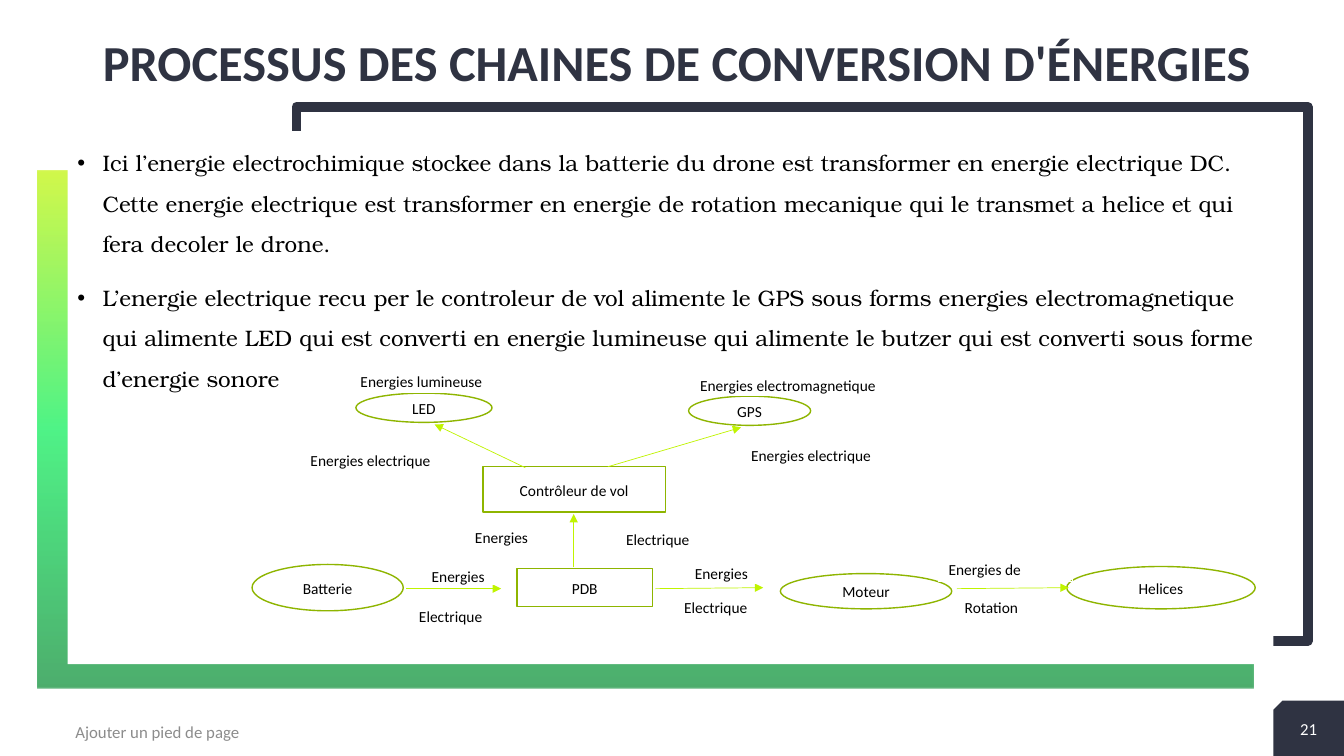
import pptx
import pptx.util
import pptx.dml.color
import pptx.enum.shapes
import pptx.enum.text
import pptx.oxml
import pptx.oxml.ns

Inches = pptx.util.Inches
Pt = pptx.util.Pt
SHAPE = pptx.enum.shapes.MSO_SHAPE
ALIGN = pptx.enum.text.PP_ALIGN
ANCHOR = pptx.enum.text.MSO_ANCHOR

DARK, LIME, OLIVE, WHITE, BLACK, GREY = (
    "2F3342", "C0F400", "8EB500", "FFFFFF", "000000", "8C8C8C")


def rgb(value):
    return pptx.dml.color.RGBColor.from_string(value)


def add_xml(parent, tag, **attrs):
    el = pptx.oxml.parse_xml(f"<a:{tag} {pptx.oxml.ns.nsdecls('a')}/>")
    for name, value in attrs.items():
        el.set(name, str(value))
    parent.append(el)
    return el


def write(sp, *texts, size=11, color=BLACK, font="Calibri", bold=False,
          align=ALIGN.CENTER, anchor=ANCHOR.MIDDLE, spacing=None, gap=0,
          bullet=False):
    """Fill a shape with one paragraph per text."""
    tf = sp.text_frame
    tf.word_wrap = True
    tf.auto_size = pptx.enum.text.MSO_AUTO_SIZE.NONE
    tf.vertical_anchor = anchor
    for i, text in enumerate(texts):
        p = tf.add_paragraph() if i else tf.paragraphs[0]
        p.alignment = align
        if spacing:
            p.line_spacing = spacing
        if i:
            p.space_before = Pt(gap)
        if bullet:
            pPr = p._p.get_or_add_pPr()
            pPr.set("marL", str(Inches(0.25)))
            pPr.set("indent", str(-Inches(0.25)))
            add_xml(pPr, "buFont", typeface="Arial")
            add_xml(pPr, "buChar", char="•")
        r = p.add_run()
        r.text = text
        r.font.size, r.font.name, r.font.bold = Pt(size), font, bold
        r.font.color.rgb = rgb(color)


def add_shape(s, kind, x, y, w, h, fill=None, line=None, width=1):
    sp = s.shapes.add_shape(kind, Inches(x), Inches(y), Inches(w), Inches(h))
    sp.shadow.inherit = False
    if fill:
        sp.fill.solid()
        sp.fill.fore_color.rgb = rgb(fill)
    else:
        sp.fill.background()
    if line:
        sp.line.color.rgb = rgb(line)
        sp.line.width = Pt(width)
    else:
        sp.line.fill.background()
    return sp


def add_text(s, x, y, w, h, *texts, **fmt):
    sp = s.shapes.add_textbox(Inches(x), Inches(y), Inches(w), Inches(h))
    write(sp, *texts, **fmt)
    return sp


def add_arrow(s, x1, y1, x2, y2):
    cn = s.shapes.add_connector(pptx.enum.shapes.MSO_CONNECTOR.STRAIGHT,
                                Inches(x1), Inches(y1), Inches(x2), Inches(y2))
    cn.line.color.rgb = rgb(LIME)
    cn.line.width = Pt(0.5)
    add_xml(cn.line._get_or_add_ln(), "tailEnd", type="triangle")
    add_xml(cn._element.spPr, "effectLst")


def add_frames(s, x, y, w, h):
    """Dark outline and green gradient panel behind the content."""
    add_shape(s, SHAPE.RECTANGLE, x + 2.57, y, w - 2.57, h - 0.47,
              line=DARK, width=7)
    panel = add_shape(s, SHAPE.RECTANGLE, x, y + 0.63, w - 0.54, h - 0.63)
    spPr = panel._element.spPr
    spPr.remove(spPr.find(pptx.oxml.ns.qn("a:noFill")))
    grad = pptx.oxml.parse_xml(
        f'<a:gradFill rotWithShape="1" {pptx.oxml.ns.nsdecls("a")}/>')
    stops = add_xml(grad, "gsLst")
    for pos, color in ((0, "038B30"), (50, "05EE55"), (100, LIME)):
        stop = add_xml(stops, "gs", pos=pos * 1000)
        add_xml(add_xml(stop, "srgbClr", val=color), "alpha", val=70000)
    add_xml(grad, "lin", ang=270 * 60000, scaled=0)
    spPr.find(pptx.oxml.ns.qn("a:prstGeom")).addnext(grad)


def add_title(s, x, y, w, h, text):
    title = s.shapes.title
    title.left, title.top = Inches(x), Inches(y)
    title.width, title.height = Inches(w), Inches(h)
    write(title, text, size=36, color=DARK, bold=True, spacing=0.9)


def add_footer(s, x, y, w, h, text, number):
    tab = add_shape(s, SHAPE.SNIP_1_RECTANGLE, x + w - 0.7, y, 0.7, h, fill=DARK)
    tab._element.spPr.xfrm.set("flipH", "1")
    add_text(s, x, y + 0.11, 4.5, 0.4, text, size=12, color=GREY,
             align=ALIGN.LEFT)
    add_text(s, x + w - 0.7, y + 0.06, 0.7, 0.45, number, size=12, color=WHITE)


def add_body(s, x, y, w, h, *texts):
    sp = add_shape(s, SHAPE.RECTANGLE, x, y, w, h, fill=WHITE)
    write(sp, *texts, size=16, font="TeX Gyre Bonum", align=ALIGN.LEFT,
          anchor=ANCHOR.TOP, spacing=1.5, gap=10, bullet=True)


def add_energy_chain(s, x, y):
    """Diagram of components, arrows and energy labels from its top left."""
    nodes = [
        ("Batterie", SHAPE.OVAL, 0, 1.93, 1.5, 0.46),
        ("PDB", SHAPE.RECTANGLE, 2.63, 1.97, 1.34, 0.38),
        ("Moteur", SHAPE.OVAL, 5.24, 2.02, 1.7, 0.35),
        ("Helices", SHAPE.OVAL, 8.08, 1.95, 1.87, 0.42),
        ("Contrôleur de vol", SHAPE.RECTANGLE, 2.29, 0.96, 1.81, 0.45),
        ("LED", SHAPE.OVAL, 1.03, 0.23, 1.35, 0.29),
        ("GPS", SHAPE.OVAL, 4.33, 0.26, 1.21, 0.29),
    ]
    arrows = [
        (1.53, 2.17, 2.47, 2.17),  # Batterie to PDB
        (4, 2.17, 5.07, 2.16),  # PDB to Moteur
        (6.99, 2.17, 8.1, 2.16),  # Moteur to Helices
        (3.19, 1.96, 3.19, 1.43),  # PDB to Contrôleur
        (3.53, 0.96, 4.85, 0.57),  # Contrôleur to GPS
        (2.71, 0.97, 1.81, 0.54),  # Contrôleur to LED
    ]
    labels = [
        ("Energies electrique", 4.43, 0.73, 2.23, 0.23),
        ("Energies electrique", 0.15, 0.74, 2.05, 0.3),
        ("Energies electromagnetique", 3.91, 0.04, 2.81, 0.21),
        ("Energies lumineuse", 0.46, 0, 2.44, 0.22),
        ("Energies", 1.81, 1.55, 1.33, 0.21),
        ("Electrique", 3.24, 1.56, 1.57, 0.22),
        ("Energies", 1.53, 1.95, 1.03, 0.18),
        ("Electrique", 1.36, 2.31, 1.22, 0.25),
        ("Electrique", 4, 2.21, 1.2, 0.28),
        ("Energies", 4.09, 1.91, 1.13, 0.21),
    ]
    rotation_labels = [
        ("Energies de", 6.81, 1.85, 1.33, 0.25, None),
        ("Rotation", 6.97, 2.22, 1.1, 0.25, WHITE),
    ]
    for text, kind, dx, dy, w, h in nodes:
        sp = add_shape(s, kind, x + dx, y + dy, w, h, fill=WHITE, line=OLIVE)
        write(sp, text, spacing=1.07)
    for x1, y1, x2, y2 in arrows:
        add_arrow(s, x + x1, y + y1, x + x2, y + y2)
    styled = [(*label, WHITE, ALIGN.CENTER) for label in labels]
    styled += [(*label, ALIGN.LEFT) for label in rotation_labels]
    for text, dx, dy, w, h, fill, align in styled:
        sp = add_shape(s, SHAPE.RECTANGLE, x + dx, y + dy, w, h, fill=fill,
                       line=WHITE)
        write(sp, text, align=align, spacing=1.07)


def main():
    prs = pptx.Presentation()
    prs.slide_width, prs.slide_height = Inches(13.33), Inches(7.5)
    s = prs.slides.add_slide(prs.slide_layouts[5])
    add_frames(s, 0.37, 1.06, 12.6, 5.77)
    add_title(s, 0.7, 0, 12.03, 1.3,
              "PROCESSUS DES CHAINES DE CONVERSION D'ÉNERGIES")
    add_footer(s, 0.65, 6.95, 12.68, 0.55, "Ajouter un pied de page", "21")
    add_body(
        s, 0.67, 1.3, 11.96, 5.29,
        "Ici l’energie electrochimique stockee dans la batterie du drone est "
        "transformer en energie electrique DC. Cette energie electrique est "
        "transformer en energie de rotation mecanique qui le transmet a "
        "helice et qui fera decoler le drone.",
        "L’energie electrique recu per le controleur de vol alimente le GPS "
        "sous forms energies electromagnetique qui alimente LED qui est "
        "converti en energie lumineuse qui alimente le butzer qui est "
        "converti sous forme d’energie sonore")
    add_energy_chain(s, 2.5, 3.67)
    prs.save("out.pptx")


if __name__ == "__main__":
    main()
